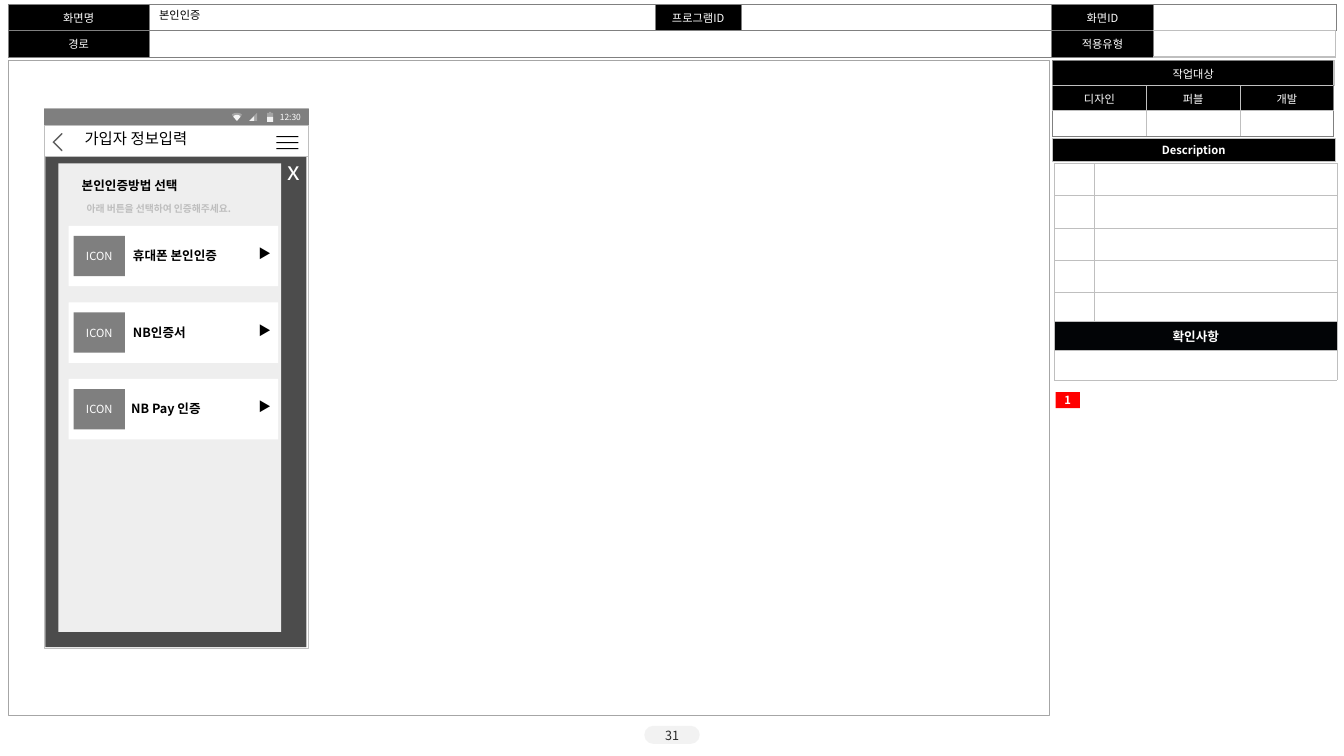
import math
from dataclasses import dataclass

import pptx
import pptx.util
import pptx.dml.color
import pptx.enum.shapes
import pptx.enum.text
import pptx.oxml
import pptx.oxml.ns
from lxml import etree

Inches = pptx.util.Inches
Pt = pptx.util.Pt
Shape = pptx.enum.shapes.MSO_SHAPE
Align = pptx.enum.text.PP_ALIGN
Anchor = pptx.enum.text.MSO_ANCHOR
qn = pptx.oxml.ns.qn


@dataclass(frozen=True)
class Theme:
    font: str = "Noto Sans CJK KR"
    black: str = "000000"
    white: str = "FFFFFF"
    ink: str = "292929"
    night: str = "020406"
    frame: str = "4C4C4C"
    arrow: str = "5F5F5F"
    icon: str = "7F7F7F"
    edge: str = "808080"
    rule: str = "A6A6A6"
    hint: str = "BEBEBE"
    line: str = "BFBFBF"
    panel: str = "EEEEEE"
    pill: str = "F2F2F2"
    red: str = "FF0000"
    tiny: float = 6
    note: float = 7
    small: float = 8
    body: float = 9
    head: float = 11
    close: float = 18


T = Theme()


def rgb(code):
    return pptx.dml.color.RGBColor.from_string(code)


def paint(shape, fill=None, line=None, width=0.25, alpha=100):
    shape.shadow.inherit = False
    if fill:
        shape.fill.solid()
        shape.fill.fore_color.rgb = rgb(fill)
        if alpha < 100:
            tone = shape.fill._xPr.find(".//" + qn("a:srgbClr"))
            etree.SubElement(tone, qn("a:alpha")).set("val", str(alpha * 1000))
    else:
        shape.fill.background()
    if line:
        shape.line.color.rgb = rgb(line)
        shape.line.width = Pt(width)
    else:
        shape.line.fill.background()


def write(frame, text, size, color, bold=False, align=Align.CENTER):
    frame.text = text
    para = frame.paragraphs[0]
    para.alignment = align
    for run in para.runs:
        font = run.font
        font.size, font.bold, font.name = Pt(size), bold, T.font
        font.color.rgb = rgb(color)
        etree.SubElement(run._r.get_or_add_rPr(), qn("a:ea")).set("typeface", T.font)


def fit(frame, side=0):
    frame.word_wrap = True
    frame.vertical_anchor = Anchor.MIDDLE
    frame.margin_left = frame.margin_right = Inches(side)
    frame.margin_top = frame.margin_bottom = 0


def block(slide, x, y, w, h, fill=None, line=None, width=0.25, kind=Shape.RECTANGLE, alpha=100):
    shape = slide.shapes.add_shape(kind, Inches(x), Inches(y), Inches(w), Inches(h))
    paint(shape, fill, line, width, alpha)
    fit(shape.text_frame)
    return shape


def label(slide, x, y, w, h, text, size, color=T.black, bold=False, align=Align.CENTER, side=0):
    box = slide.shapes.add_textbox(Inches(x), Inches(y), Inches(w), Inches(h))
    fit(box.text_frame, side)
    write(box.text_frame, text, size, color, bold, align)
    return box


def trace(slide, x, y, loops, fill, alpha=100):
    """Draw closed outlines whose points are offsets from (x, y)."""
    pen = None
    for loop in loops:
        spots = [(Inches(x + dx), Inches(y + dy)) for dx, dy in loop]
        if pen is None:
            pen = slide.shapes.build_freeform(*spots[0])
        else:
            pen.move_to(*spots[0])
        pen.add_line_segments(spots[1:], close=True)
    paint(pen.convert_to_shape(), fill, alpha=alpha)


def border(cell, color, width, sides="LRTB"):
    props = cell._tc.get_or_add_tcPr()
    for side in sides:
        tag = qn("a:ln" + side)
        old = props.find(tag)
        if old is not None:
            props.remove(old)
        edge = etree.Element(tag, w=str(int(Pt(width))))
        fill = etree.SubElement(edge, qn("a:solidFill"))
        etree.SubElement(fill, qn("a:srgbClr")).set("val", color)
        order = [qn("a:ln" + s) for s in "LRTB"]
        place = sum(kid.tag in order[:order.index(tag)] for kid in props)
        props.insert(place, edge)


def grid(slide, x, y, cols, rows, line, width):
    frame = slide.shapes.add_table(len(rows), len(cols), Inches(x), Inches(y),
                                   Inches(sum(cols)), Inches(sum(rows)))
    table = frame.table
    table.first_row = table.horz_banding = False
    for col, size in zip(table.columns, cols):
        col.width = Inches(size)
    for row, size in zip(table.rows, rows):
        row.height = Inches(size)
    for cell in table.iter_cells():
        cell.fill.solid()
        cell.fill.fore_color.rgb = rgb(T.white)
        border(cell, line, width)
        end = etree.SubElement(cell.text_frame.paragraphs[0]._p, qn("a:endParaRPr"))
        end.set("sz", str(T.small * 100))
    return table


def title(cell, text, fill=T.black, size=T.small, bold=False):
    cell.fill.fore_color.rgb = rgb(fill)
    cell.vertical_anchor = Anchor.MIDDLE
    write(cell.text_frame, text, size, T.white, bold)


def header(slide, x, y):
    table = grid(slide, x, y, [1.4, 5.02, 0.85, 3.08, 1.01, 1.81], [0.25] * 2, T.edge, 0.25)
    table.cell(1, 1).merge(table.cell(1, 3))
    for row, col, text in [(0, 0, "화면명"), (0, 2, "프로그램ID"), (0, 4, "화면ID"),
                           (1, 0, "경로"), (1, 4, "적용유형")]:
        title(table.cell(row, col), text)
    border(table.cell(0, 5), T.line, 1, "B")
    border(table.cell(1, 5), T.line, 1, "RTB")
    label(slide, x + 1.4, y, 5.01, 0.22, "본인인증", T.small, align=Align.LEFT, side=0.1)


def sidebar(slide, x, y):
    work = grid(slide, x, y, [0.93] * 3, [0.25] * 3, T.line, 1)
    work.cell(0, 0).merge(work.cell(0, 2))
    title(work.cell(0, 0), "작업대상")
    for col, text in enumerate(["디자인", "퍼블", "개발"]):
        title(work.cell(1, col), text)
        border(work.cell(0, col), T.edge, 0.75, "T")
        border(work.cell(2, col), T.edge, 0.75, "B")
    for row in range(3):
        border(work.cell(row, 0), T.edge, 0.75, "L")
        border(work.cell(row, 2), T.edge, 0.75, "R")
    bar = block(slide, x, y + 0.77, 2.8, 0.23, T.black, T.line)
    write(bar.text_frame, "Description", T.small, T.white, True)
    notes = grid(slide, x + 0.02, y + 1.02, [0.39, 2.41], [0.32] * 4 + [0.29] * 3, T.line, 0.25)
    for row in (5, 6):
        notes.cell(row, 0).merge(notes.cell(row, 1))
    title(notes.cell(5, 0), "확인사항", T.night, T.body, True)
    mark = block(slide, x + 0.03, y + 3.29, 0.24, 0.16, T.red)
    write(mark.text_frame, "1", T.small, T.white, True)


def status(slide, x, y, w, h):
    block(slide, x, y, w, h, T.black, alpha=50)
    arc = [(0.05 * math.cos(a), -0.02 * math.sin(a)) for a in (math.pi * i / 8 for i in range(9))]
    trace(slide, x + 1.91, y + 0.06, [arc + [(0, 0.06)]], T.white, 30)
    inner = [(dx * 0.7, dy + 0.02) for dx, dy in arc]
    trace(slide, x + 1.91, y + 0.06, [inner + [(0, 0.06)]], T.white, 90)
    trace(slide, x + 2.08, y + 0.04, [[(0.03, 0), (0, 0.03), (0, 0.08), (0.03, 0.08)]], T.white, 30)
    trace(slide, x + 2.03, y + 0.07, [[(0, 0.05), (0.05, 0.05), (0.05, 0)]], T.white, 90)
    cap = [(0, 0.05), (0, 0.01), (0.02, 0.01), (0.02, 0), (0.04, 0), (0.04, 0.01),
           (0.06, 0.01), (0.06, 0.05)]
    trace(slide, x + 2.21, y + 0.03, [cap], T.white, 30)
    block(slide, x + 2.21, y + 0.08, 0.06, 0.05, T.white, alpha=90)
    label(slide, x + 2.28, y, 0.32, h, "12:30", T.tiny, T.white)


def topbar(slide, x, y, w, h):
    block(slide, x, y, w, h, T.white, T.line)
    bars = [[(0, d), (0.22, d), (0.22, d + 0.01), (0, d + 0.01)] for d in (0, 0.06, 0.12)]
    trace(slide, x + 2.3, y + 0.11, bars, T.black)
    back = [(0.1, 0.18), (0.1, 0.17), (0.02, 0.09), (0.1, 0.01), (0.1, 0), (0.09, 0), (0, 0.09),
            (0.09, 0.18)]
    trace(slide, x + 0.08, y + 0.08, [back], T.arrow)
    label(slide, x + 0.3, y + 0.01, 1.97, 0.24, "가입자 정보입력", T.head, align=Align.LEFT, side=0.1)


def choice(slide, x, y, w, h, text, left, wide):
    block(slide, x, y, w, h, T.white)
    icon = block(slide, x + 0.05, y + 0.1, 0.51, 0.4, T.icon)
    write(icon.text_frame, "ICON", T.small, T.white)
    label(slide, x + left, y + 0.21, wide, 0.17, text, T.body, bold=True)
    label(slide, x + 1.79, y + 0.16, 0.31, 0.23, "▶", T.body, bold=True)


def phone(slide, x, y, w, h):
    block(slide, x, y, w, h, T.white, T.line, 0.5)
    status(slide, x, y, w, 0.17)
    topbar(slide, x, y + 0.16, w, 0.31)
    block(slide, x + 0.01, y + 0.48, w - 0.03, h - 0.49, T.frame)
    label(slide, x + 2.31, y + 0.45, 0.32, 0.32, "x", T.close, T.white)
    block(slide, x + 0.14, y + 0.54, 2.21, 4.65, T.panel)
    label(slide, x + 0.01, y + 0.65, 1.67, 0.23, "본인인증방법 선택", T.body, bold=True)
    label(slide, x + 0.19, y + 0.89, 1.89, 0.2, "아래 버튼을 선택하여 인증해주세요.",
          T.note, T.hint, True)
    for i, part in enumerate([("휴대폰 본인인증", 0.45, 1.21), ("NB인증서", 0.51, 0.78),
                              ("NB Pay 인증", 0.49, 0.95)]):
        choice(slide, x + 0.24, y + 1.16 + 0.76 * i, 2.08, 0.6, *part)


def footer(slide, x, y, w, h):
    pill = block(slide, x, y, w, h, T.pill, kind=Shape.ROUNDED_RECTANGLE)
    pill.adjustments[0] = 0.5
    label(slide, x + 0.12, y + 0.02, 0.31, 0.15, "31", T.body, T.ink)


def main():
    deck = pptx.Presentation()
    deck.slide_width, deck.slide_height = Inches(13.33), Inches(7.5)
    slide = deck.slides.add_slide(deck.slide_layouts[6])
    header(slide, 0.08, 0.04)
    block(slide, 0.08, 0.6, 10.33, 6.5, line=T.rule)
    sidebar(slide, 10.44, 0.6)
    footer(slide, 6.39, 7.2, 0.55, 0.18)
    phone(slide, 0.44, 1.08, 2.62, 5.35)
    deck.save("out.pptx")


if __name__ == "__main__":
    main()
